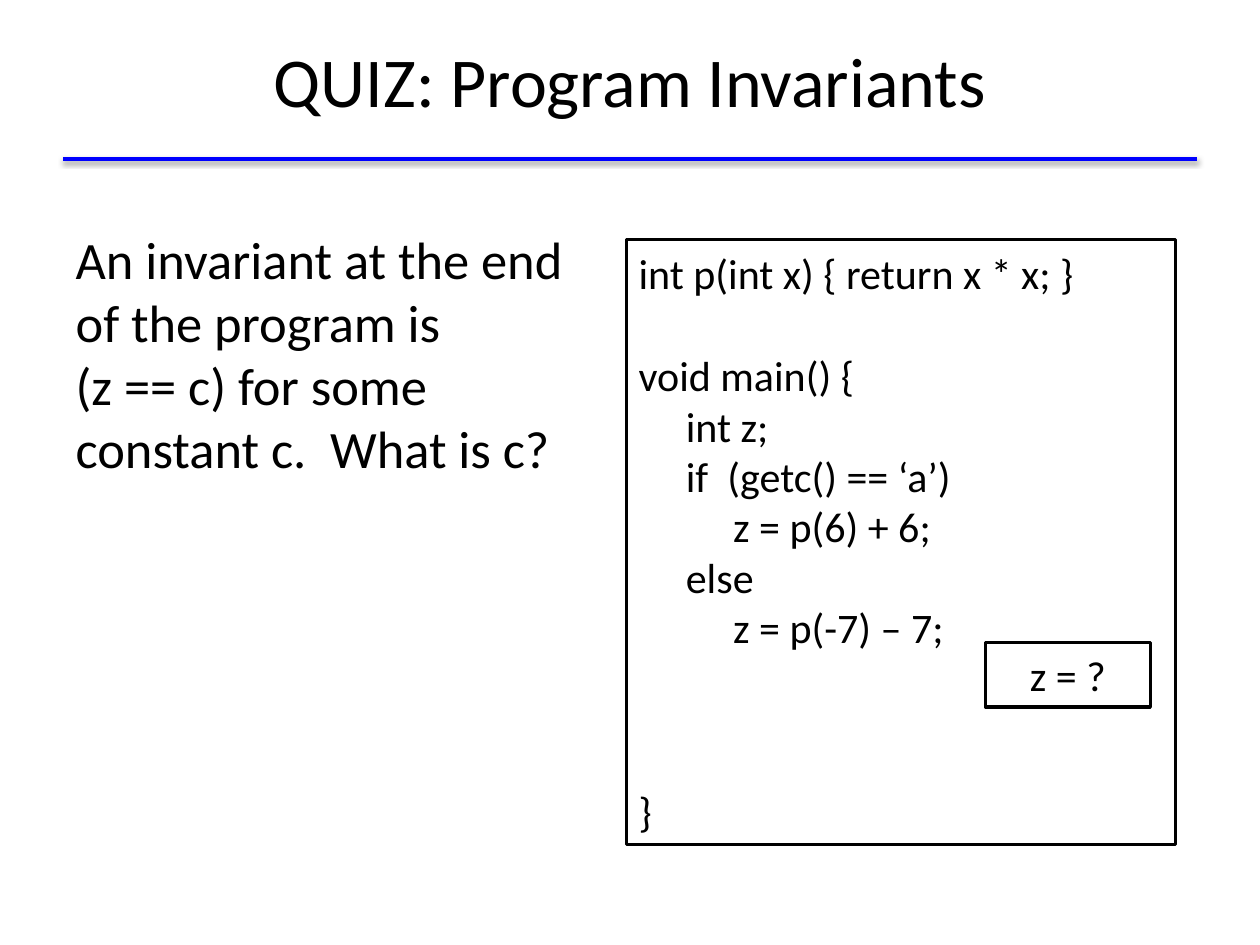
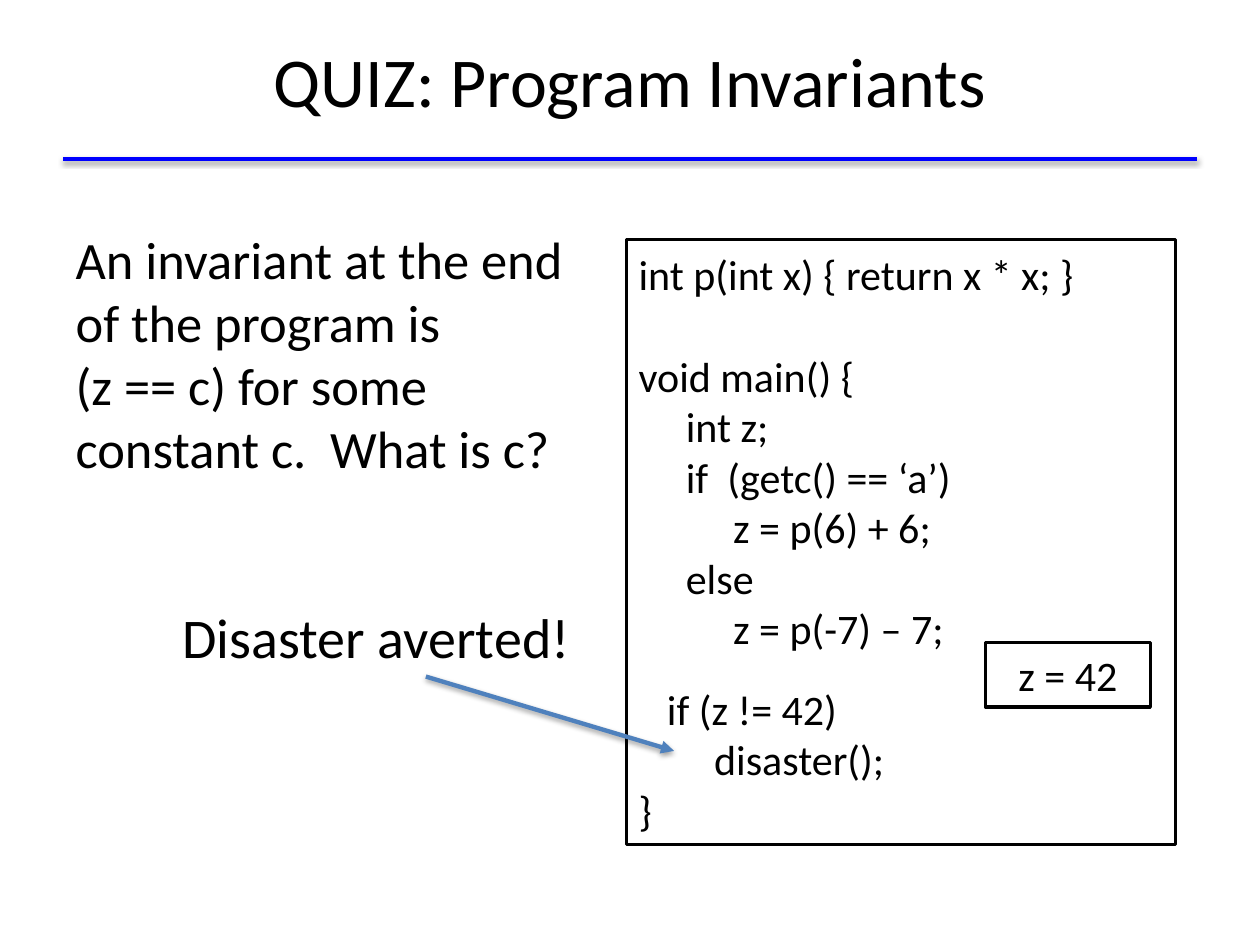
from pptx import Presentation
from pptx.dml.color import RGBColor
from pptx.enum.shapes import MSO_CONNECTOR, MSO_SHAPE
from pptx.enum.text import MSO_ANCHOR, PP_ALIGN
from pptx.oxml import parse_xml
from pptx.oxml.ns import nsdecls
from pptx.util import Inches, Pt

RECT = MSO_SHAPE.RECTANGLE
LINE = MSO_CONNECTOR.STRAIGHT
LEFT, CENTER = PP_ALIGN.LEFT, PP_ALIGN.CENTER
TOP, MIDDLE = MSO_ANCHOR.TOP, MSO_ANCHOR.MIDDLE

COLORS = {"ink": "000000", "rule": "0000FF", "arrow": "4F81BD"}
FONT = "Calibri"
COLS, ROWS = 10, 7.5
SPACE = 0.075
GAP = 29.3


def color(name):
    return RGBColor.from_string(COLORS[name])


def text(frame, lines, size=24, align=LEFT, anchor=MIDDLE, before=0, wrap=True):
    frame.word_wrap = wrap
    frame.vertical_anchor = anchor
    for i, (words, depth, gap) in enumerate(lines):
        para = frame.paragraphs[0] if i == 0 else frame.add_paragraph()
        para.text = words
        para.alignment = align
        para.space_before = Pt(before + gap)
        props = para._p.get_or_add_pPr()
        props.set("marL", str(Inches(depth * SPACE)))
        props.set("indent", "0")
        props.append(parse_xml(f"<a:buNone {nsdecls('a')}/>"))
        for run in para.runs:
            run.font.name = FONT
            run.font.size = Pt(size)
            run.font.color.rgb = color("ink")


def plain(words):
    return [(words, 0, 0)]


class Deck:
    def __init__(self):
        self.file = Presentation()
        self.file.slide_width = Inches(COLS)
        self.file.slide_height = Inches(ROWS)
        self.layout = self.file.slide_layouts[1]
        self.slide = None

    def place(self, *spots):
        units = self.file.slide_width / COLS, self.file.slide_height / ROWS
        return [round(spot * units[i % 2]) for i, spot in enumerate(spots)]

    def page(self, title, body):
        self.slide = self.file.slides.add_slide(self.layout)
        head, main = self.slide.placeholders
        self.move(head, 0.5, 0.01, 9, 1.25)
        self.move(main, 0.5, 1.75, 9, 4.95)
        text(head.text_frame, plain(title), size=40, align=CENTER)
        text(main.text_frame, plain(body), size=30, anchor=TOP, before=6)

    def move(self, shape, *box):
        shape.left, shape.top, shape.width, shape.height = self.place(*box)

    def line(self, *ends, tint, width, arrow=False):
        line = self.slide.shapes.add_connector(LINE, *self.place(*ends))
        line.line.color.rgb = color(tint)
        line.line.width = Pt(width)
        if arrow:
            line.line._get_or_add_ln().append(
                parse_xml(f'<a:tailEnd {nsdecls("a")} type="triangle"/>'))
        line._element.spPr.append(parse_xml(
            f'<a:effectLst {nsdecls("a")}><a:outerShdw blurRad="40000" dist="20000" '
            'dir="5400000" rotWithShape="0"><a:srgbClr val="000000">'
            '<a:alpha val="38000"/></a:srgbClr></a:outerShdw></a:effectLst>'))
        return line

    def rule(self):
        line = self.line(0.5, 1.26, 9.5, 1.26, tint="rule", width=2)
        self.layout.shapes.element.append(line._element)

    def box(self, lines, *box, width, **style):
        shape = self.slide.shapes.add_shape(RECT, *self.place(*box))
        shape.shadow.inherit = False
        shape.fill.background()
        shape.line.color.rgb = color("ink")
        shape.line.width = Pt(width)
        text(shape.text_frame, lines, **style)

    def label(self, words, *box, **style):
        shape = self.slide.shapes.add_textbox(*self.place(*box))
        text(shape.text_frame, plain(words), **style)

    def quiz(self, ending, answer):
        self.page("QUIZ: Program Invariants", QUESTION)
        self.box(CODE + ending, 4.97, 1.9, 4.36, 4.8, width=1.75)
        self.box(plain(answer), 7.82, 5.1, 1.31, 0.51, width=2, align=CENTER)


QUESTION = ("An invariant at the end\vof the program is\v"
            "(z == c) for some\vconstant c.  What is c?")
CODE = [
    ("int p(int x) { return x * x; }", 0, 0),
    ("void main() {", 0, GAP),
    ("int z;", 5, 0),
    ("if  (getc() == ‘a’)", 5, 0),
    ("z = p(6) + 6;", 10, 0),
    ("else", 5, 0),
    ("z = p(-7) – 7;", 10, 0),
]
CHECK = [("if (z != 42)", 3, 17.5), ("disaster();", 8, 0), ("}", 0, 0)]

deck = Deck()
deck.quiz([("}", 0, 17.5 + 2 * GAP)], "z = ?")
deck.rule()

deck.quiz(CHECK, "z = 42")
deck.label("Disaster averted!", 1.35, 4.73, 3.31, 0.64, size=32, anchor=TOP, wrap=False)
deck.line(3.38, 5.37, 5.35, 5.96, tint="arrow", width=2.5, arrow=True)

deck.file.save("out.pptx")
